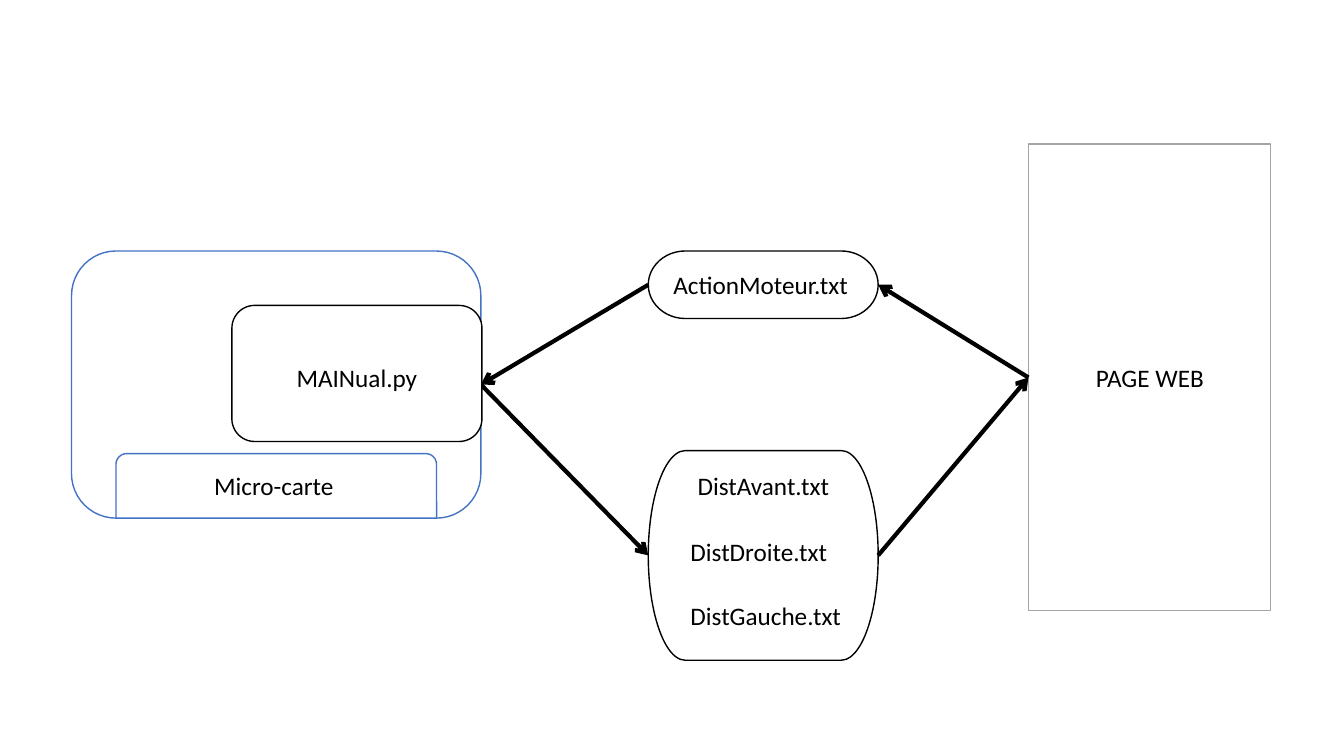
from lxml import etree
from pptx import Presentation
from pptx.dml.color import RGBColor
from pptx.enum.shapes import MSO_CONNECTOR, MSO_SHAPE
from pptx.enum.text import PP_ALIGN
from pptx.oxml.ns import qn
from pptx.util import Inches, Pt

RECT, ROUND = MSO_SHAPE.RECTANGLE, MSO_SHAPE.ROUNDED_RECTANGLE
TAB, PILL = MSO_SHAPE.ROUND_2_SAME_RECTANGLE, MSO_SHAPE.FLOWCHART_TERMINATOR
STRAIGHT = MSO_CONNECTOR.STRAIGHT
LEFT, CENTER = PP_ALIGN.LEFT, PP_ALIGN.CENTER
LEFT_SIDE, RIGHT_SIDE = 1, 3
BLACK, BLUE, GRAY, WHITE = "000000", "4472C4", "A5A5A5", "FFFFFF"


def color(value):
    return RGBColor.from_string(value)


def add_box(kind, x, y, w, h, line):
    sp = s.shapes.add_shape(kind, Inches(x), Inches(y), Inches(w), Inches(h))
    sp.shadow.inherit = False
    sp.fill.solid()
    sp.fill.fore_color.rgb = color(WHITE)
    sp.line.color.rgb = color(line)
    sp.line.width = Pt(1)
    return sp


prs = Presentation()
prs.slide_width, prs.slide_height = Inches(13.33), Inches(7.5)
s = prs.slides.add_slide(prs.slide_layouts[6])

# Main boxes: the board, the web page and the two groups of files
FILE_X, FILE_W, TOP = 6.43, 2.28, 2.49
board = add_box(ROUND, 0.71, TOP, 4.06, 2.65, BLUE)
page = add_box(RECT, 10.2, 1.43, 2.4, 4.63, GRAY)
action = add_box(PILL, FILE_X, TOP, FILE_W, 0.67, BLACK)
distances = add_box(PILL, FILE_X, 4.47, FILE_W, 2.08, BLACK)

# Arrows, from one side to another
for start, start_side, end, end_side in (
    (action, LEFT_SIDE, board, RIGHT_SIDE),
    (page, LEFT_SIDE, action, RIGHT_SIDE),
    (board, RIGHT_SIDE, distances, LEFT_SIDE),
    (distances, RIGHT_SIDE, page, LEFT_SIDE),
):
    cx = s.shapes.add_connector(STRAIGHT, 0, 0, 0, 0)
    cx.begin_connect(start, start_side)
    cx.end_connect(end, end_side)
    cx.line.color.rgb = color(BLACK)
    cx.line.width = Pt(3)
    etree.SubElement(cx.line._get_or_add_ln(), qn("a:tailEnd"), type="arrow")
    etree.SubElement(cx._element.spPr, qn("a:effectLst"))

# Boxes inside the board
add_box(ROUND, 2.3, 3.03, 2.48, 1.35, BLACK)
add_box(TAB, 1.15, 4.5, 3.18, 0.64, BLUE)

# Labels
FONT = {"name": "Calibri", "size": Pt(18)}
for text, x, y, w, align in (
    ("ActionMoteur.txt", 6.58, 2.62, 1.98, LEFT),
    ("DistAvant.txt", 6.82, 4.62, 1.86, LEFT),
    ("DistDroite.txt", 6.75, 5.27, 1.63, LEFT),
    ("DistGauche.txt", 6.75, 5.91, 1.86, LEFT),
    ("MAINual.py", 2.54, 3.55, 2, CENTER),
    ("Micro-carte", 1.29, 4.62, 2.85, CENTER),
    ("PAGE WEB", 10.48, 3.55, 1.85, CENTER),
):
    tf = s.shapes.add_textbox(Inches(x), Inches(y), Inches(w), Inches(0.4)).text_frame
    tf.word_wrap = True
    p = tf.paragraphs[0]
    p.alignment = align
    r = p.add_run()
    r.text = text
    r.font.color.rgb = color(BLACK)
    for key, value in FONT.items():
        setattr(r.font, key, value)

prs.save("out.pptx")
